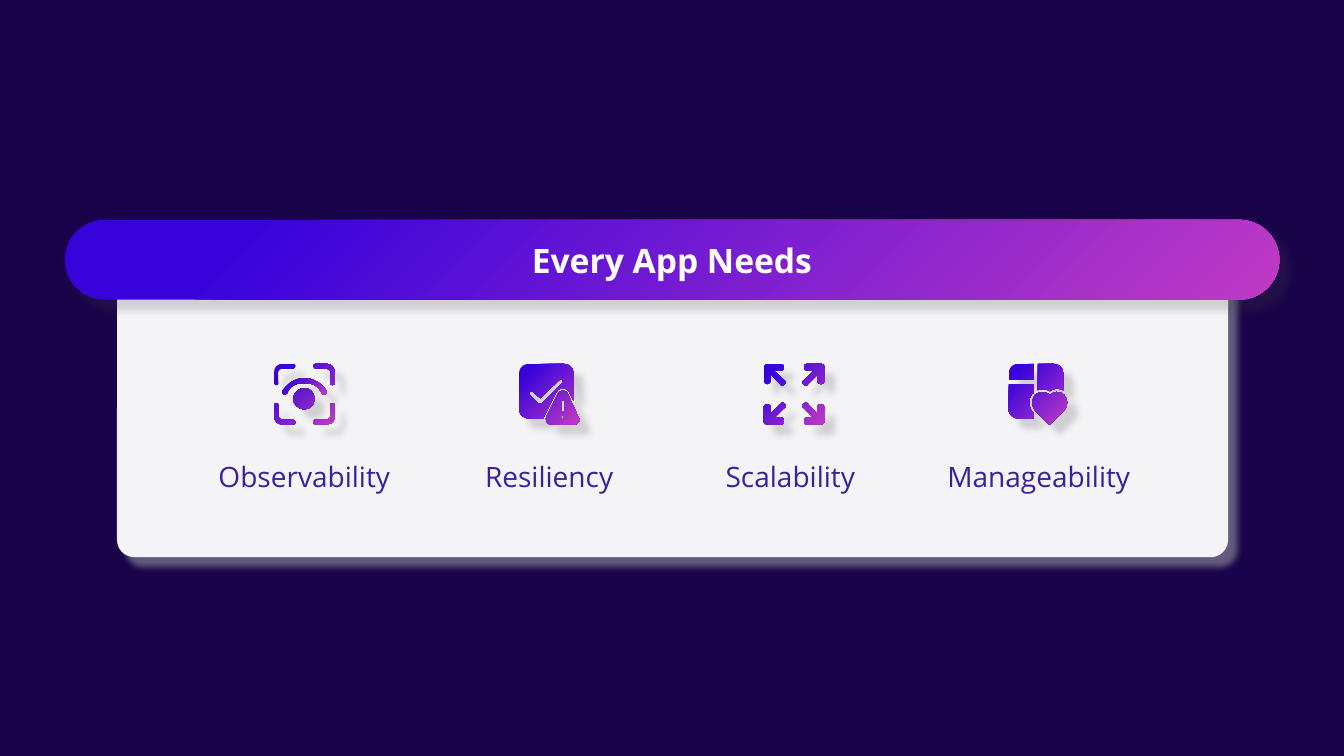
import pptx
import pptx.dml.color
import pptx.enum.shapes
import pptx.enum.text
import pptx.oxml.ns
import pptx.util
from lxml import etree
from pptx.util import Cm

COLORS = {
    "night": "190449", "panel": "F4F3F5", "label": "3A20A0", "white": "FFFFFF",
    "pink": "C03BC4", "blue": "3803DB", "panel_shadow": "B1B3B3", "shadow": "454142",
}
FONT = "Open Sans"
ICON_SIZE = 60  # icon outlines are drawn on a grid of 60 units
ICON_UNIT = Cm(1.524) / ICON_SIZE
CURVE_STEPS = 6

BRACKET = ("M 21,2 C 21,1 20,0 19,0 L 8,0 C 3,0 0,4 0,8 L 0,19 C 0,20 1,21 2,21 "
           "C 4,21 4,20 4,19 L 4,8 C 5,6 6,5 8,5 L 19,5 C 20,4 21,3 21,2")
PUPIL = ("M 19,35 C 19,29 24,24 30,24 C 36,24 40,29 40,35 "
         "C 40,40 36,45 30,45 C 24,45 19,40 19,35")
EYELID = ("M 13,29 C 12,31 8,31 8,28 C 8,26 11,23 13,21 C 16,18 22,14 30,14 "
          "C 38,14 44,18 47,21 C 49,23 52,26 52,28 C 52,31 48,32 47,29 "
          "C 47,28 45,25 44,24 C 41,21 37,19 30,19 C 23,19 19,21 16,24 C 15,25 13,28 13,29")
TILE = ("M 10,0 C 4,0 0,4 0,10 L 0,44 C 0,50 4,54 10,54 L 24,54 C 24,53 24,53 25,52 "
        "L 37,28 C 40,23 47,23 50,28 L 54,36 L 54,10 C 54,4 50,0 44,0")
CHECK = ("M 43,19 L 23,39 C 22,40 20,40 19,39 L 11,31 C 10,30 10,29 11,28 "
         "C 12,27 13,27 14,28 L 21,34 L 40,16 C 41,15 42,15 43,16 C 44,17 44,18 43,19")
WARNING = ("M 39,29 L 27,53 C 26,56 28,60 31,60 L 55,60 C 59,60 61,56 59,53 "
           "L 48,29 C 46,26 41,26 39,29")
WARNING_BAR = ("M 45,37 L 45,46 C 45,47 44,48 43,48 C 43,48 42,47 42,46 "
               "L 42,37 C 42,37 43,36 43,36 C 44,36 45,37 45,37")
WARNING_DOT = "M 43,54 C 42,54 42,51 43,51 C 45,51 45,54 43,54"
ARROW = ("M 17,0 C 19,0 20,1 20,3 C 20,5 19,7 17,7 L 11,7 L 20,16 C 22,17 22,19 21,20 "
         "C 19,22 17,22 16,20 L 7,11 L 7,17 C 7,18 5,20 4,20 L 3,20 C 2,20 0,19 0,17 "
         "L 0,3 C 0,1 2,0 3,0")
PANE_TOP_LEFT = "M 25,16 L 25,0 L 9,0 C 4,0 0,4 0,10 L 0,16"
PANE_BOTTOM_LEFT = ("M 25,54 L 25,49 L 24,48 C 19,43 19,34 24,29 C 24,29 25,29 25,28 "
                    "L 25,20 L 0,20 L 0,45 C 0,50 4,54 9,54")
PANE_RIGHT = ("M 54,10 L 54,26 C 50,24 45,24 41,27 C 37,25 33,24 29,26 "
              "L 29,0 L 44,0 C 50,0 54,4 54,9")
HEART = ("M 25,44 C 23,41 23,36 25,33 C 25,32 26,32 26,31 C 27,30 28,29 29,29 "
         "C 33,27 37,28 40,30 L 41,31 C 45,27 50,27 54,30 C 54,30 55,30 55,31 "
         "C 59,35 59,42 55,46 L 42,59 C 42,60 41,60 41,60 C 40,60 40,60 39,59 L 26,46")


def rgb(name):
    return pptx.dml.color.RGBColor.from_string(COLORS[name])


def contour(outline):
    """Turn an outline of M, L and C commands into a list of points."""
    points, pending, command = [], [], "M"
    for word in outline.split():
        if word in ("M", "L", "C"):
            command = word
            continue
        pending.append(tuple(float(value) for value in word.split(",")))
        if command != "C":
            points += pending
            pending = []
        elif len(pending) == 3:
            corners = [points[-1]] + pending
            for step in range(1, CURVE_STEPS + 1):
                t = step / CURVE_STEPS
                weights = ((1 - t) ** 3, 3 * t * (1 - t) ** 2, 3 * t * t * (1 - t), t ** 3)
                points.append(tuple(sum(w * c[axis] for w, c in zip(weights, corners))
                                    for axis in (0, 1)))
            pending = []
    return points


def four_corners(outline):
    """Mirror an outline into all four corners of the icon."""
    points = contour(outline)
    return [[(ICON_SIZE - x if right else x, ICON_SIZE - y if low else y) for x, y in points]
            for right in (False, True) for low in (False, True)]


# Label, label width, and the icon's shapes, each a list of contours
NEEDS = [
    ("Observability", Cm(5.08), [four_corners(BRACKET) + [contour(PUPIL)], [contour(EYELID)]]),
    ("Resiliency", Cm(5.08),
     [[contour(part) for part in (TILE, CHECK, WARNING, WARNING_BAR, WARNING_DOT)]]),
    ("Scalability ", Cm(5.08), [four_corners(ARROW)]),
    ("Manageability", Cm(5.59),
     [[contour(part) for part in (PANE_BOTTOM_LEFT, PANE_RIGHT, HEART, PANE_TOP_LEFT)]]),
]


def add_shadow(shape, color, opacity):
    shape.shadow.inherit = False
    effects = shape._element.spPr.find(pptx.oxml.ns.qn("a:effectLst"))
    shadow = etree.SubElement(
        effects, pptx.oxml.ns.qn("a:outerShdw"), blurRad=str(pptx.util.Pt(5)),
        dist=str(pptx.util.Pt(10)), dir=str(45 * 60000), algn="tl", rotWithShape="0")
    tint = etree.SubElement(shadow, pptx.oxml.ns.qn("a:srgbClr"), val=COLORS[color])
    etree.SubElement(tint, pptx.oxml.ns.qn("a:alpha"), val=str(opacity * 1000))


def paint_gradient(shape):
    """Fill with pink at the bottom right, fading to blue, and add the shadow."""
    shape.line.fill.background()
    shape.fill.gradient()
    for stop, name, position in zip(shape.fill.gradient_stops, ("pink", "blue"), (0, 0.85)):
        stop.color.rgb = rgb(name)
        stop.position = position
    gradient = shape._element.spPr.find(pptx.oxml.ns.qn("a:gradFill"))
    gradient.remove(gradient.find(pptx.oxml.ns.qn("a:lin")))
    circle = etree.SubElement(gradient, pptx.oxml.ns.qn("a:path"), path="circle")
    etree.SubElement(circle, pptx.oxml.ns.qn("a:fillToRect"), l="100000", t="100000")
    add_shadow(shape, "shadow", 20)


def write_text(shape, text, size, color, bold=False):
    para = shape.text_frame.paragraphs[0]
    para.text = text
    para.alignment = pptx.enum.text.PP_ALIGN.CENTER
    font = para.runs[0].font
    font.name, font.size, font.bold = FONT, pptx.util.Pt(size), bold
    font.color.rgb = rgb(color)


def add_rounded(page, left, top, width, height, corner):
    shape = page.shapes.add_shape(
        pptx.enum.shapes.MSO_SHAPE.ROUNDED_RECTANGLE, left, top, width, height)
    shape.adjustments[0] = corner
    shape.line.fill.background()
    return shape


def add_icon(page, left, top, layers):
    for contours in layers:
        scaled = [[(x * ICON_UNIT, y * ICON_UNIT) for x, y in points] for points in contours]
        builder = page.shapes.build_freeform(*scaled[0][0])
        for number, points in enumerate(scaled):
            if number:
                builder.move_to(*points[0])
            builder.add_line_segments(points[1:], close=True)
        paint_gradient(builder.convert_to_shape(left, top))


def add_needs_panel(page, left, top, width, height):
    panel = add_rounded(page, left, top, width, height, 0.058)
    panel.fill.solid()
    panel.fill.fore_color.rgb = rgb("panel")
    add_shadow(panel, "panel_shadow", 50)
    for column, (label, label_width, layers) in enumerate(NEEDS):
        center = left + Cm(4.72) + column * Cm(6.17)
        add_icon(page, center - Cm(0.76), top + Cm(2.57), layers)
        box = page.shapes.add_textbox(
            center - label_width // 2, top + Cm(4.86), label_width, Cm(1.12))
        box.text_frame.word_wrap = True
        write_text(box, label, 20, "label")


def add_title_bar(page, left, top, width, height):
    bar = add_rounded(page, left, top, width, height, 0.5)
    paint_gradient(bar)
    frame = bar.text_frame
    frame.margin_left = frame.margin_right = frame.margin_top = frame.margin_bottom = 0
    frame.vertical_anchor = pptx.enum.text.MSO_ANCHOR.MIDDLE
    write_text(bar, "Every App Needs", 24, "white", bold=True)


def main():
    deck = pptx.Presentation()
    deck.slide_width, deck.slide_height = Cm(33.87), Cm(19.05)
    page = deck.slides.add_slide(deck.slide_layouts[6])
    page.background.fill.solid()
    page.background.fill.fore_color.rgb = rgb("night")
    add_needs_panel(page, Cm(2.95), Cm(6.6), Cm(28), Cm(7.44))
    add_title_bar(page, Cm(1.63), Cm(5.54), Cm(30.61), Cm(2.01))
    deck.save("out.pptx")


if __name__ == "__main__":
    main()
